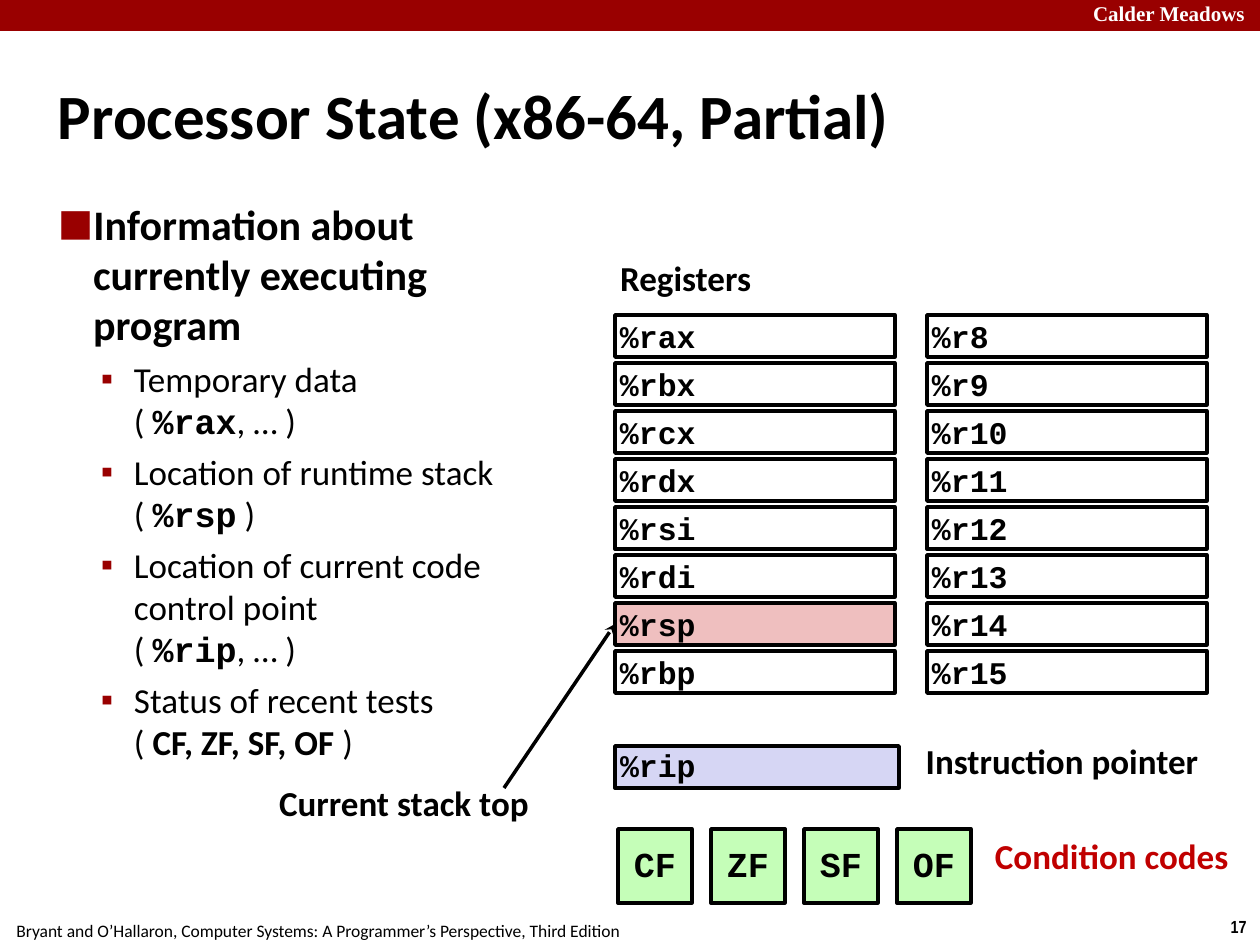
from pptx import Presentation
from pptx.dml.color import RGBColor
from pptx.enum.shapes import MSO_CONNECTOR as Connector, MSO_SHAPE as Shape
from pptx.enum.text import MSO_ANCHOR as Anchor, MSO_AUTO_SIZE as AutoSize, PP_ALIGN as Align
from pptx.oxml.ns import qn
from pptx.util import Pt
from lxml.etree import SubElement

EMU_PER_PX = 914400 / 126
BLACK, WHITE, CRIMSON, RED = "000000", "FFFFFF", "990000", "C00000"
PINK, LILAC, GREEN = "EFBFBF", "D6D6F4", "C5FEB8"
SANS, MONO, SERIF, NARROW = "Calibri", "Courier New", "Times New Roman", "Arial Narrow"
BULLET_FONT = "Arial"


def px(length):
    """Turn pixels into EMU."""
    return round(length * EMU_PER_PX)


def color(value):
    """Turn a hex string into a colour."""
    return RGBColor.from_string(value)


class SlideWriter:
    """Holds the text style and the current page."""

    def __init__(self, page, font=SANS, size=20, inset=5):
        """Keep the page and the default style."""
        self.page, self.font, self.size, self.inset = page, font, size, inset

    def frame(self, box, anchor=Anchor.TOP, inset=None, inset_y=None):
        """Prepare the text frame of a box."""
        frame = box.text_frame
        side = self.inset if inset is None else inset
        upright = side if inset_y is None else inset_y
        frame.word_wrap, frame.auto_size = True, AutoSize.NONE
        frame.vertical_anchor = anchor
        frame.margin_left = frame.margin_right = px(side)
        frame.margin_top = frame.margin_bottom = px(upright)
        return frame

    def span(self, para, text, size=None, font=None, ink=BLACK, bold=True):
        """Add one styled run, with line breaks where the text has them."""
        for number, piece in enumerate(text.split("\n")):
            if number:
                para.add_line_break()
            span = para.add_run()
            span.text = piece
            span.font.name, span.font.size = font or self.font, Pt(size or self.size)
            span.font.bold, span.font.color.rgb = bold, color(ink)

    def title(self, text, left, top, width, height):
        """Place and fill the title placeholder."""
        box = self.page.shapes.title
        box.left, box.top, box.width, box.height = map(px, (left, top, width, height))
        para = self.frame(box, Anchor.MIDDLE).paragraphs[0]
        para.alignment = Align.LEFT
        self.span(para, text, 36)

    def label(self, text, left, top, width, height, align=Align.LEFT,
              inset=None, inset_y=None, **style):
        """Add a one-line text box."""
        box = self.page.shapes.add_textbox(*map(px, (left, top, width, height)))
        para = self.frame(box, inset=inset, inset_y=inset_y).paragraphs[0]
        para.alignment = align
        self.span(para, text, **style)

    def rectangle(self, left, top, width, height, fill=None, outlined=True):
        """Add a plain rectangle."""
        box = self.page.shapes.add_shape(Shape.RECTANGLE, *map(px, (left, top, width, height)))
        box.shadow.inherit = False
        if fill:
            box.fill.solid()
            box.fill.fore_color.rgb = color(fill)
        else:
            box.fill.background()
        if outlined:
            box.line.color.rgb, box.line.width = color(BLACK), Pt(2)
        else:
            box.line.fill.background()
        return box

    def cell(self, text, left, top, width, height, fill=None, size=18,
             align=Align.LEFT, spacing=1.0):
        """Add an outlined rectangle with monospaced text."""
        box = self.rectangle(left, top, width, height, fill)
        para = self.frame(box, Anchor.MIDDLE).paragraphs[0]
        para.alignment, para.line_spacing = align, spacing
        self.span(para, text, size, MONO)

    def bullet(self, para, mark, margin, hanging, percent=100):
        """Give a paragraph a bullet with a hanging indent."""
        props = para._p.get_or_add_pPr()
        props.set("marL", str(px(margin)))
        props.set("indent", str(-px(hanging)))
        SubElement(SubElement(props, qn("a:buClr")), qn("a:srgbClr"), val=CRIMSON)
        SubElement(props, qn("a:buSzPct"), val=str(percent * 1000))
        SubElement(props, qn("a:buFont"), typeface=BULLET_FONT)
        SubElement(props, qn("a:buChar"), char=mark)

    def outline(self, heading, items, left, top, width, height):
        """Add a heading with bulleted items below it."""
        box = self.page.shapes.add_textbox(*map(px, (left, top, width, height)))
        frame = self.frame(box)
        para = frame.paragraphs[0]
        self.bullet(para, "■", 35, 35, 140)
        self.span(para, heading, 24)
        for topic, code, ending, font in items:
            para = frame.add_paragraph()
            para.level, para.space_before = 1, Pt(5)
            self.bullet(para, "▪", 76, 33)
            self.span(para, topic + "\n( ", bold=False)
            self.span(para, code, font=font)
            self.span(para, ending, bold=False)

    def arrow(self, *ends):
        """Add a line with a stealth head at its end."""
        line = self.page.shapes.add_connector(Connector.STRAIGHT, *map(px, ends))
        line.line.color.rgb, line.line.width = color(BLACK), Pt(2)
        SubElement(line.line._get_or_add_ln(), qn("a:tailEnd"), type="stealth")
        SubElement(line._element.spPr, qn("a:effectLst"))


def main():
    """Build the processor state slide."""
    deck = Presentation()
    deck.slide_width, deck.slide_height = px(1260), px(945)
    writer = SlideWriter(deck.slides.add_slide(deck.slide_layouts[5]))

    writer.label("17", 1217, 910, 43, 34, Align.CENTER, 12, 6, size=10, font=NARROW)
    writer.label("Bryant and O’Hallaron, Computer Systems: A Programmer’s Perspective, Third Edition",
                 -2, 914, 640, 34, Align.CENTER, 12, 6, size=10, bold=False)
    writer.rectangle(0, 0, 1261, 31, CRIMSON, outlined=False)
    writer.label("Calder Meadows", 1088, -4, 181, 35, size=12, font=SERIF, ink=WHITE)
    writer.title("Processor State (x86-64, Partial)", 53, 35, 1155, 158)
    writer.outline("Information about currently executing program", [
        ("Temporary data", "%rax", ", … )", MONO),
        ("Location of runtime stack", "%rsp", " )", MONO),
        ("Location of current code control point", "%rip", ", … )", MONO),
        ("Status of recent tests", "CF, ZF, SF, OF", " )", SANS),
    ], 53, 193, 460, 748)

    writer.label("Registers", 615, 252, 158, 53)
    columns = {
        615: ["rax", "rbx", "rcx", "rdx", "rsi", "rdi", "rsp", "rbp"],
        927: [f"r{number}" for number in range(8, 16)],
    }
    for left, names in columns.items():
        for row, name in enumerate(names):
            writer.cell(f"%{name}", left, 315 + 48 * row, 280, 42,
                        PINK if name == "rsp" else None)

    writer.cell("%rip", 615, 746, 284, 42, LILAC, spacing=0.95)
    writer.label("Instruction pointer", 919, 735, 286, 53, Align.CENTER)
    for column, flag in enumerate(["CF", "ZF", "SF", "OF"]):
        writer.cell(flag, 618 + 93 * column, 829, 74, 74, GREEN, 20, Align.CENTER, 0.95)
    writer.label("Condition codes", 990, 829, 249, 62, ink=RED)
    writer.label("Current stack top", 273, 777, 262, 53, Align.CENTER)
    writer.arrow(504, 788, 615, 624)

    deck.save("out.pptx")


if __name__ == "__main__":
    main()
